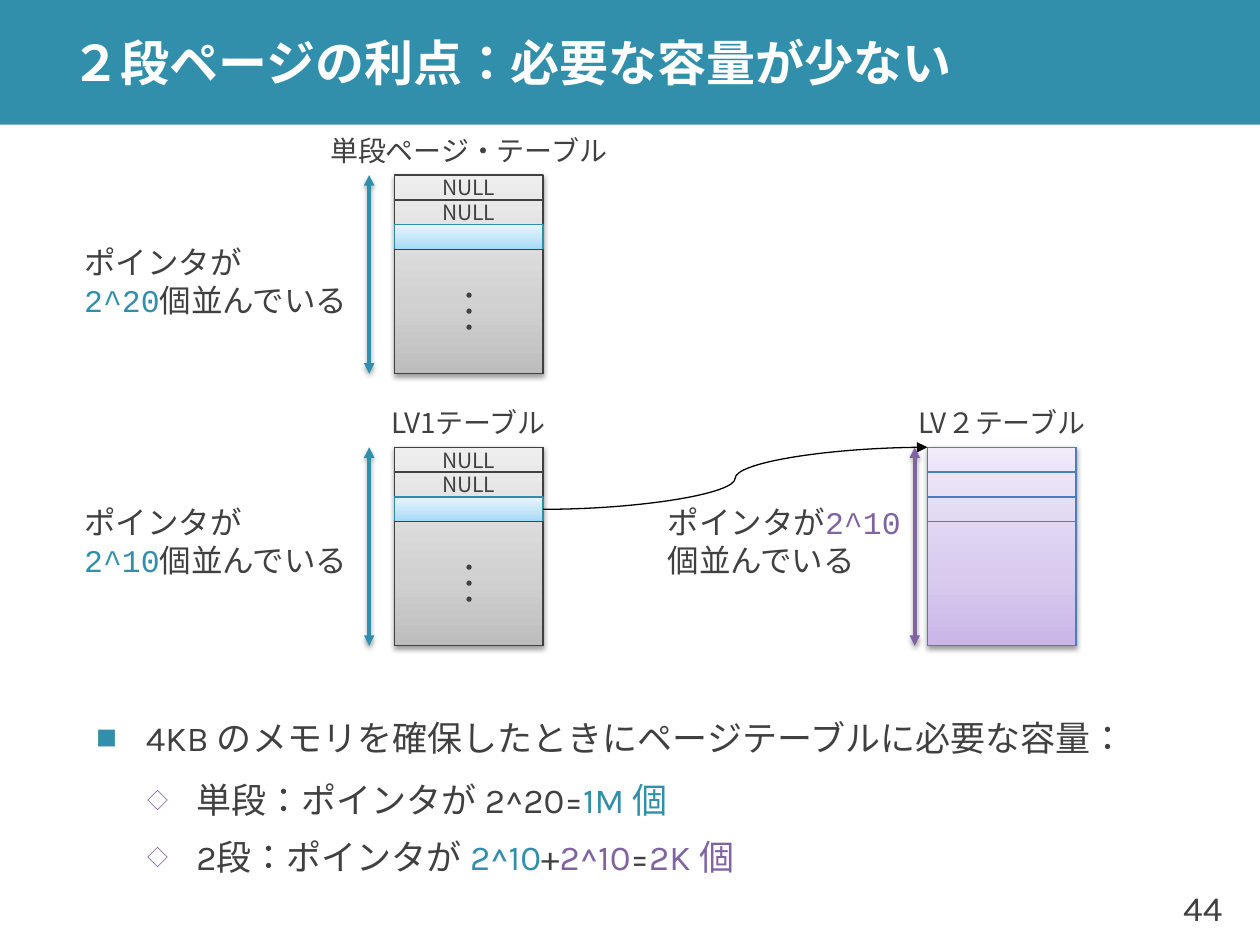
import pptx
import pptx.util
import pptx.oxml
import pptx.oxml.ns
import pptx.dml.color
import pptx.enum.lang
import pptx.enum.text
import pptx.enum.shapes

Inches, Pt = pptx.util.Inches, pptx.util.Pt
RGB = pptx.dml.color.RGBColor
ALIGN = pptx.enum.text.PP_ALIGN
LINK = pptx.enum.shapes.MSO_CONNECTOR
RECT = pptx.enum.shapes.MSO_SHAPE.RECTANGLE
TONGUE = pptx.enum.lang.MSO_LANGUAGE_ID.JAPANESE
NS = pptx.oxml.ns.nsdecls("a")

TEAL = RGB(0x32, 0x8F, 0xAC)
VIOLET = RGB(0x80, 0x64, 0xA2)
DARK = RGB(0x40, 0x40, 0x40)
BLACK = RGB(0, 0, 0)
WHITE = RGB(255, 255, 255)
BLUE = RGB(0x4B, 0x7E, 0xBC)
PLUM = RGB(0x7D, 0x60, 0xA0)
SKY = RGB(0x2E, 0x8D, 0xAB)
# gradient colours from bottom to top
GREY_FADE = [RGB(0xBD, 0xBD, 0xBD), RGB(0xD1, 0xD1, 0xD1), RGB(0xEE, 0xEE, 0xEE)]
SKY_FADE = [RGB(0xA2, 0xD9, 0xF7), RGB(0xBF, 0xE4, 0xF8), RGB(0xE6, 0xF5, 0xFD)]
PLUM_FADE = [RGB(0xC9, 0xB5, 0xE8), RGB(0xD8, 0xCB, 0xEE), RGB(0xF0, 0xEA, 0xF9)]

NOTO, MONO, KARLA = "Noto Sans CJK JP", "Courier New", "Karla"
WIDE, ROW = 1.18, 0.197
HIGH = 8 * ROW
NAME_WIDE, NOTE_WIDE = 2.5, 2.3

GREY = dict(fade=GREY_FADE, edge=BLACK, rule=DARK, mark=True, arrow=TEAL, gap=0.2)
LILAC = dict(fade=PLUM_FADE, edge=PLUM, rule=BLUE, mark=False, arrow=VIOLET, gap=0.1)
TABLES = [
    ("単段ページ・テーブル", 3.13, 1.39, GREY),
    ("LV1テーブル", 3.13, 3.55, GREY),
    ("LV２テーブル", 7.36, 3.55, LILAC),
]
# left, middle, and lines that are lists of (text, colour) runs
NOTES = [
    (0.57, 2.23, [[("ポインタが", DARK)], [("2^20", TEAL), ("個並んでいる", DARK)]]),
    (0.57, 4.29, [[("ポインタが", DARK)], [("2^10", TEAL), ("個並んでいる", DARK)]]),
    (5.2, 4.29, [[("ポインタが", DARK), ("2^10", VIOLET)], [("個並んでいる", DARK)]]),
]
BODY = [
    [("4KB のメモリを確保したときにページテーブルに必要な容量：", DARK)],
    [("単段：ポインタが 2^20=", DARK), ("1M 個", TEAL)],
    [("2段：ポインタが ", DARK), ("2^10", TEAL), ("+", DARK), ("2^10", VIOLET),
     ("=", DARK), ("2K 個", VIOLET)],
]
# bullet sign, colour, size in percent, indent, format
TOP = ("■", TEAL, 60, 0.39,
       dict(line_spacing=1.1, space_before=Pt(0), space_after=Pt(6)))
SUB = ("◇", VIOLET, 60, 0.79,
       dict(level=1, line_spacing=1.1, space_before=Pt(3), space_after=Pt(3)))

deck = pptx.Presentation()
deck.slide_width, deck.slide_height = Inches(10), Inches(7.5)
slide = deck.slides.add_slide(deck.slide_layouts[6])
shapes = slide.shapes


def apply(item, form):
    for key, value in form.items():
        setattr(item, key, value)


def write(shape, lines, size, face, align=ALIGN.LEFT, bold=None, wrap=True):
    frame = shape.text_frame
    apply(frame, dict(word_wrap=wrap, vertical_anchor=pptx.enum.text.MSO_ANCHOR.MIDDLE))
    for i, line in enumerate(lines):
        para = frame.add_paragraph() if i else frame.paragraphs[0]
        para.alignment = align
        for text, color in line:
            run = para.add_run()
            run.text = text
            apply(run.font, dict(size=Pt(size), name=face, bold=bold,
                                 language_id=TONGUE))
            run.font.color.rgb = color
            run.font._element.append(
                pptx.oxml.parse_xml(f'<a:ea {NS} typeface="{NOTO}"/>'))
    return frame


def label(x, y, w, h, *args, **form):
    box = shapes.add_textbox(Inches(x), Inches(y), Inches(w), Inches(h))
    return write(box, *args, **form)


def shade(shape):
    """Add a soft shadow straight below the shape."""
    shape._element.spPr.append(pptx.oxml.parse_xml(
        f'<a:effectLst {NS}><a:outerShdw blurRad="{Pt(3.1)}" dist="{Pt(1.6)}" '
        'dir="5400000" rotWithShape="0"><a:srgbClr val="000000">'
        '<a:alpha val="38000"/></a:srgbClr></a:outerShdw></a:effectLst>'))


def rect(x, y, w, h, edge=None, fade=None, fill=None, cast=False):
    box = shapes.add_shape(RECT, Inches(x), Inches(y), Inches(w), Inches(h))
    if fade:
        stops = "".join(f'<a:gs pos="{pos}"><a:srgbClr val="{color}"/></a:gs>'
                        for pos, color in zip((0, 35000, 100000), fade))
        box._element.spPr.append(pptx.oxml.parse_xml(
            f'<a:gradFill {NS} rotWithShape="1"><a:gsLst>{stops}</a:gsLst>'
            '<a:lin ang="16200000" scaled="0"/></a:gradFill>'))
    elif fill:
        box.fill.solid()
        box.fill.fore_color.rgb = fill
    else:
        box.fill.background()
    if edge is None:
        box.line.fill.background()
    else:
        box.line.color.rgb = edge
        box.line.width = Pt(0.75)
    if cast:
        shade(box)
    else:
        box.shadow.inherit = False
    return box


def arrow(kind, start, end, color, width, both=False):
    link = shapes.add_connector(kind, *map(Inches, start + end))
    link.line.color.rgb = color
    link.line.width = Pt(width)
    for tip in ("headEnd", "tailEnd") if both else ("tailEnd",):
        link.line._ln.append(pptx.oxml.parse_xml(f'<a:{tip} {NS} type="triangle"/>'))
    if both:
        shade(link)
    else:
        link._element.spPr.append(pptx.oxml.parse_xml(f"<a:effectLst {NS}/>"))


def table(name, x, y, look):
    rule, mark = look["rule"], look["mark"]
    rect(x, y, WIDE, HIGH, look["edge"], look["fade"], cast=True)
    for i in range(3):
        hit = mark and i == 2
        cell = rect(x, y + i * ROW, WIDE, ROW, SKY if hit else rule,
                    SKY_FADE if hit else None)
        if mark and not hit:
            write(cell, [[("NULL", DARK)]], 12, NOTO, ALIGN.CENTER, wrap=False)
    rest = rect(x, y + 3 * ROW, WIDE, 5 * ROW, rule)
    if mark:
        frame = write(rest, [[("･･･", DARK)]], 18, NOTO, ALIGN.CENTER, wrap=False)
        frame._txBody.bodyPr.set("vert", "vert270")
    side = x - look["gap"]
    arrow(LINK.STRAIGHT, (side, y + HIGH), (side, y), look["arrow"], 2, True)
    label(x + (WIDE - NAME_WIDE) / 2, y - 0.39, NAME_WIDE, 0.39,
          [[(name, DARK)]], 16, NOTO, ALIGN.CENTER)


def bullet(para, sign, color, size, indent, form):
    props = para._p.get_or_add_pPr()
    props.set("marL", str(Inches(indent)))
    props.set("indent", str(Inches(-0.39)))
    apply(para, form)
    for part in (f'<a:buClr {NS}><a:srgbClr val="{color}"/></a:buClr>',
                 f'<a:buSzPct {NS} val="{size * 1000}"/>',
                 f'<a:buFont {NS} typeface="{NOTO}"/>',
                 f'<a:buChar {NS} char="{sign}"/>'):
        props.append(pptx.oxml.parse_xml(part))


rect(0, 0, 10, 0.99, fill=TEAL)
label(9.13, 6.9, 0.67, 0.6, [[("44", DARK)]], 20, KARLA, ALIGN.RIGHT)
title = label(0.47, 0, 9.53, 0.99, [[("２段ページの利点：必要な容量が少ない", WHITE)]],
              28, KARLA, bold=True)
apply(title, dict(margin_top=0, margin_bottom=0))

for entry in TABLES:
    table(*entry)
(_, near, top, _), (_, far, _, _) = TABLES[1:]
arrow(LINK.CURVE, (near + WIDE, top + 2.5 * ROW), (far, top), BLACK, 0.75)
for x, mid, lines in NOTES:
    frame = label(x, mid - 0.35, NOTE_WIDE, 0.7, lines, 18, MONO)
    frame.margin_right = 0

body = label(0.67, 5.72, 9.06, 1.18, BODY, 20, KARLA)
for para, style in zip(body.paragraphs, (TOP, SUB, SUB)):
    bullet(para, *style)

deck.save("out.pptx")
